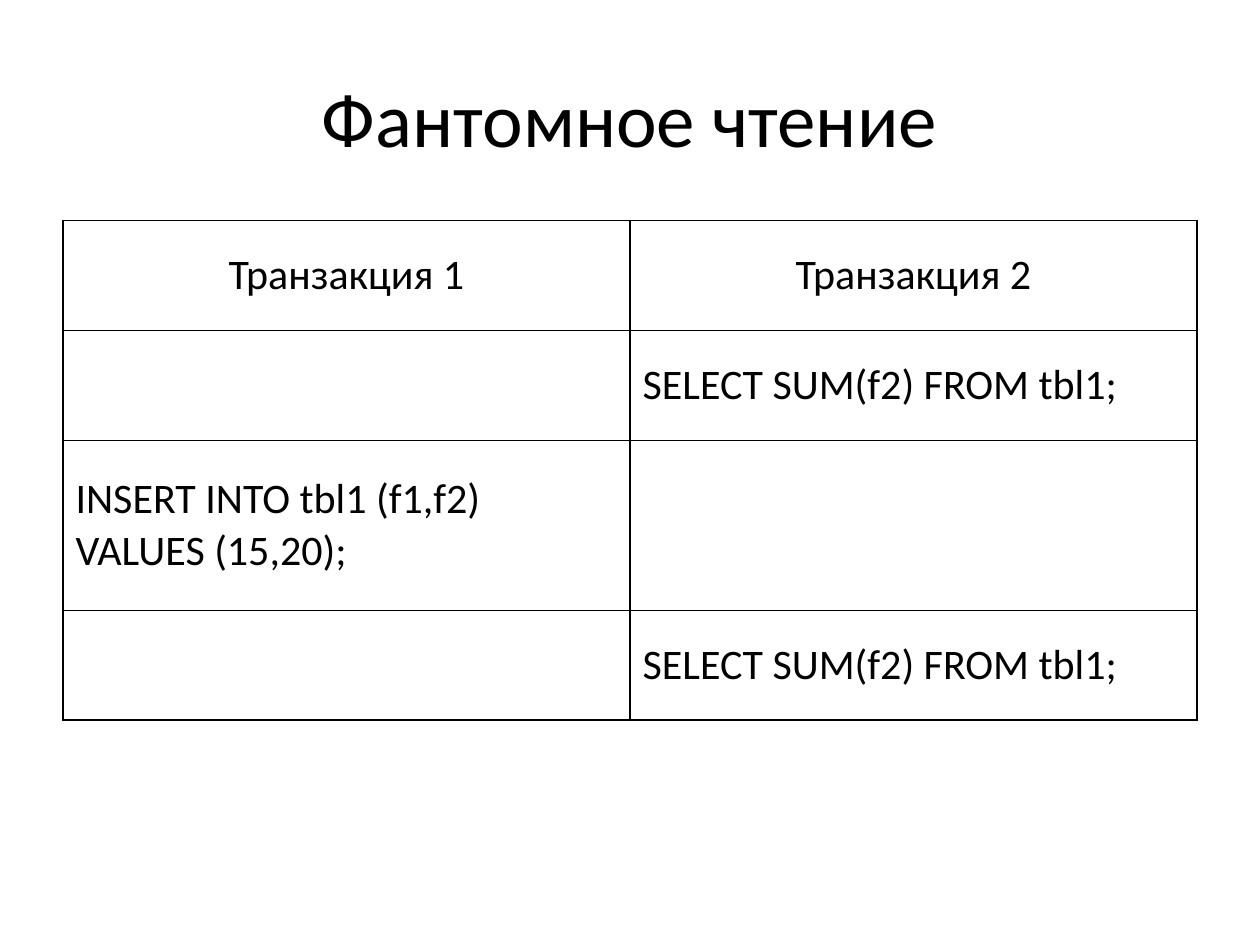
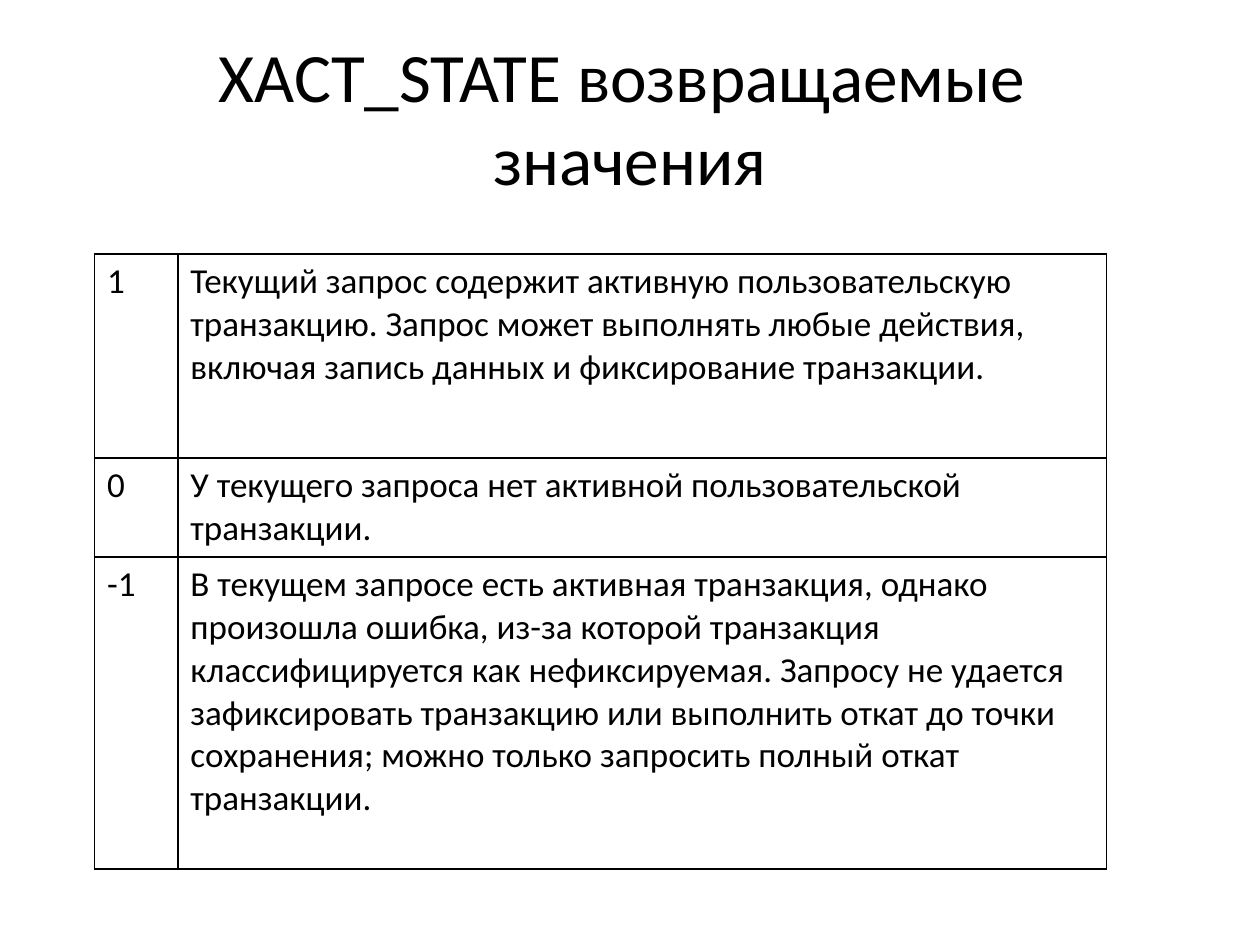
from lxml.etree import SubElement as Sub
from pptx import Presentation
from pptx.dml.color import RGBColor as Rgb
from pptx.enum.text import MSO_ANCHOR as Anchor, PP_ALIGN as Align
from pptx.oxml.ns import qn
from pptx.util import Pt


def paint(hue):
    """Turn a hex string into a colour."""
    return Rgb.from_string(hue)


class Deck:
    """Holds the shared style and the current slide."""

    face, ink, paper = "Calibri", "000000", "FFFFFF"

    def __init__(self):
        """Start an empty deck."""
        self.prs = Presentation()
        self.prs.slide_width, self.prs.slide_height = Pt(720), Pt(540)

    def page(self, text, size):
        """Add a slide with its title."""
        self.slide = self.prs.slides.add_slide(self.prs.slide_layouts[6])
        self.title(text, size)

    def style(self, frame, size, align):
        """Format all text in a frame."""
        for para in frame.paragraphs:
            para.alignment = align
            para.font.size = Pt(size)
            for run in para.runs:
                font = run.font
                font.name, font.size = self.face, Pt(size)
                font.color.rgb = paint(self.ink)

    def title(self, text, size):
        """Add a centred title."""
        box = self.slide.shapes.add_textbox(Pt(36), Pt(21.6), Pt(648), Pt(90))
        frame = box.text_frame
        frame.word_wrap = True
        frame.vertical_anchor = Anchor.MIDDLE
        frame.text = text
        self.style(frame, size, Align.CENTER)

    def border(self, cell):
        """Draw a thin line on each side of a cell."""
        props = cell._tc.get_or_add_tcPr()
        for spot, side in enumerate("LRTB"):
            line = Sub(props, qn(f"a:ln{side}"), w=str(Pt(1)))
            fill = Sub(line, qn("a:solidFill"))
            Sub(fill, qn("a:srgbClr"), val=self.ink)
            props.insert(spot, line)

    def table(self, left, top, cols, rows, data, size, anchor, head=False):
        """Add a ruled table, with its first row centred if it is a head."""
        grid = self.slide.shapes.add_table(
            len(rows), len(cols), Pt(left), Pt(top), Pt(sum(cols)), Pt(sum(rows))
        ).table
        grid.first_row = grid.horz_banding = False
        for col, width in zip(grid.columns, cols):
            col.width = Pt(width)
        for num, (row, height, texts) in enumerate(zip(grid.rows, rows, data)):
            row.height = Pt(height)
            align = Align.CENTER if head and num == 0 else Align.LEFT
            for cell, text in zip(row.cells, texts):
                cell.text_frame.text = text
                cell.vertical_anchor = anchor
                cell.fill.solid()
                cell.fill.fore_color.rgb = paint(self.paper)
                self.style(cell.text_frame, size, align)
                self.border(cell)


def main():
    """Build both slides and save them."""
    deck = Deck()

    deck.page("Фантомное чтение", 44)
    query = "SELECT SUM(f2) FROM tbl1;"
    steps = [
        ("Транзакция 1", "Транзакция 2"),
        ("", query),
        ("INSERT INTO tbl1 (f1,f2) VALUES (15,20);", ""),
        ("", query),
    ]
    deck.table(36, 126, [324] * 2, [62.8, 62.8, 97.2, 62.8], steps, 24,
               Anchor.MIDDLE, head=True)

    deck.page("XACT_STATE возвращаемые \vзначения", 39.6)
    states = [
        ("1", "Текущий запрос содержит активную пользовательскую транзакцию. "
              "Запрос может выполнять любые действия, включая запись данных "
              "и фиксирование транзакции."),
        ("0", "У текущего запроса нет активной пользовательской транзакции."),
        ("-1", "В текущем запросе есть активная транзакция, однако произошла "
               "ошибка, из-за которой транзакция классифицируется как "
               "нефиксируемая. Запросу не удается зафиксировать транзакцию "
               "или выполнить откат до точки сохранения; можно только "
               "запросить полный откат транзакции."),
    ]
    deck.table(54, 145.2, [47.6, 530.6], [116.6, 56.4, 178.4], states, 20,
               Anchor.TOP)

    deck.prs.save("out.pptx")


if __name__ == "__main__":
    main()
